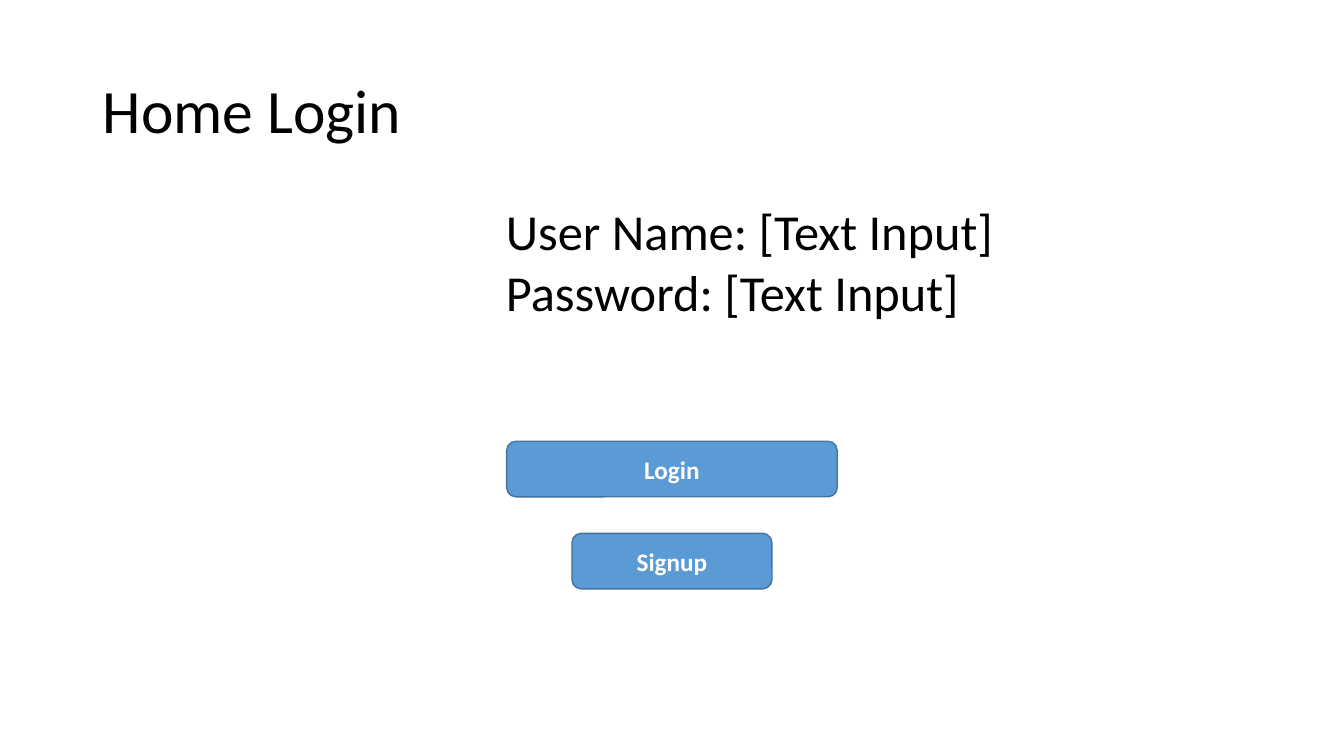
from dataclasses import dataclass

from pptx import Presentation
from pptx.dml.color import RGBColor
from pptx.enum.shapes import MSO_SHAPE
from pptx.enum.text import MSO_ANCHOR, PP_ALIGN
from pptx.util import Cm, Pt

ROUNDED = MSO_SHAPE.ROUNDED_RECTANGLE
TOP, MIDDLE = MSO_ANCHOR.TOP, MSO_ANCHOR.MIDDLE
LEFT, CENTER = PP_ALIGN.LEFT, PP_ALIGN.CENTER

COLORS = {"text": "000000", "button": "5B9BD5", "border": "43739E", "label": "FFFFFF"}
SLIDE_W, SLIDE_H = 33.87, 19.05
MARGIN, CONTENT_W = 2.34, 29.21
BUTTON_H = 1.4


@dataclass
class TextBlock:
    lines: list[str]
    top: float
    height: float
    size: int
    anchor: MSO_ANCHOR
    indent: float = 0
    level: int = 0
    space_before: int = 0


@dataclass
class Button:
    label: str
    top: float
    width: float


def color(name: str) -> RGBColor:
    return RGBColor.from_string(COLORS[name])


def set_attrs(target, values: dict) -> None:
    for name, value in values.items():
        setattr(target, name, value)


def write_line(p, text: str, size: int, color_name: str, bold: bool, layout: dict) -> None:
    set_attrs(p, layout)
    r = p.add_run()
    r.text = text
    set_attrs(r.font, {"name": "Calibri", "size": Pt(size), "bold": bold})
    r.font.color.rgb = color(color_name)


def draw_text(s, block: TextBlock) -> None:
    sp = s.shapes.add_textbox(Cm(MARGIN), Cm(block.top), Cm(CONTENT_W), Cm(block.height))
    tf = sp.text_frame
    set_attrs(tf, {"word_wrap": True, "vertical_anchor": block.anchor})
    layout = {"alignment": LEFT, "level": block.level, "line_spacing": 0.9,
              "space_before": Pt(block.space_before)}
    for i, line in enumerate(block.lines):
        p = tf.add_paragraph() if i else tf.paragraphs[0]
        write_line(p, line, block.size, "text", False, layout)
        pPr = p._p.get_or_add_pPr()
        pPr.set("marL", str(Cm(block.indent)))
        pPr.set("indent", "0")


def draw_button(s, button: Button) -> None:
    left = (SLIDE_W - button.width) / 2
    sp = s.shapes.add_shape(ROUNDED, Cm(left), Cm(button.top), Cm(button.width), Cm(BUTTON_H))
    sp.shadow.inherit = False
    sp.fill.solid()
    sp.fill.fore_color.rgb = color("button")
    sp.line.color.rgb = color("border")
    sp.line.width = Pt(1)
    tf = sp.text_frame
    set_attrs(tf, {"word_wrap": True, "vertical_anchor": MIDDLE})
    write_line(tf.paragraphs[0], button.label, 18, "label", True, {"alignment": CENTER})


prs = Presentation()
set_attrs(prs, {"slide_width": Cm(SLIDE_W), "slide_height": Cm(SLIDE_H)})
s = prs.slides.add_slide(prs.slide_layouts[6])

# Title and login fields
for block in (
    TextBlock(["Home Login"], 1.02, 3.68, 44, MIDDLE),
    TextBlock(["User Name: [Text Input]", "Password: [Text Input]"], 5.08, 12.09, 36, TOP,
              indent=10.16, level=8, space_before=5),
):
    draw_text(s, block)

# Centred buttons
for button in (Button("Login", 11.12, 8.33), Button("Signup", 13.44, 5.04)):
    draw_button(s, button)

prs.save("out.pptx")
